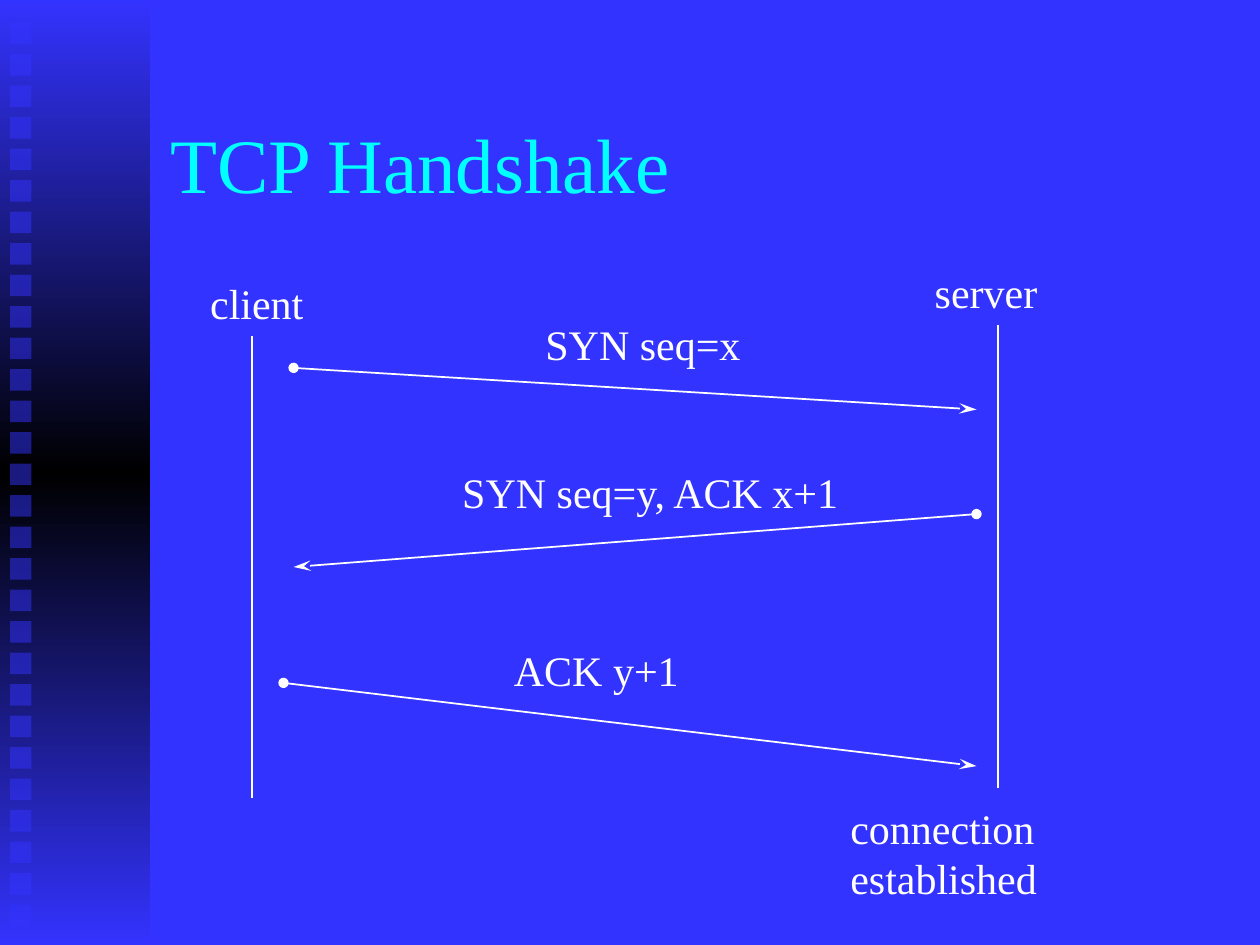
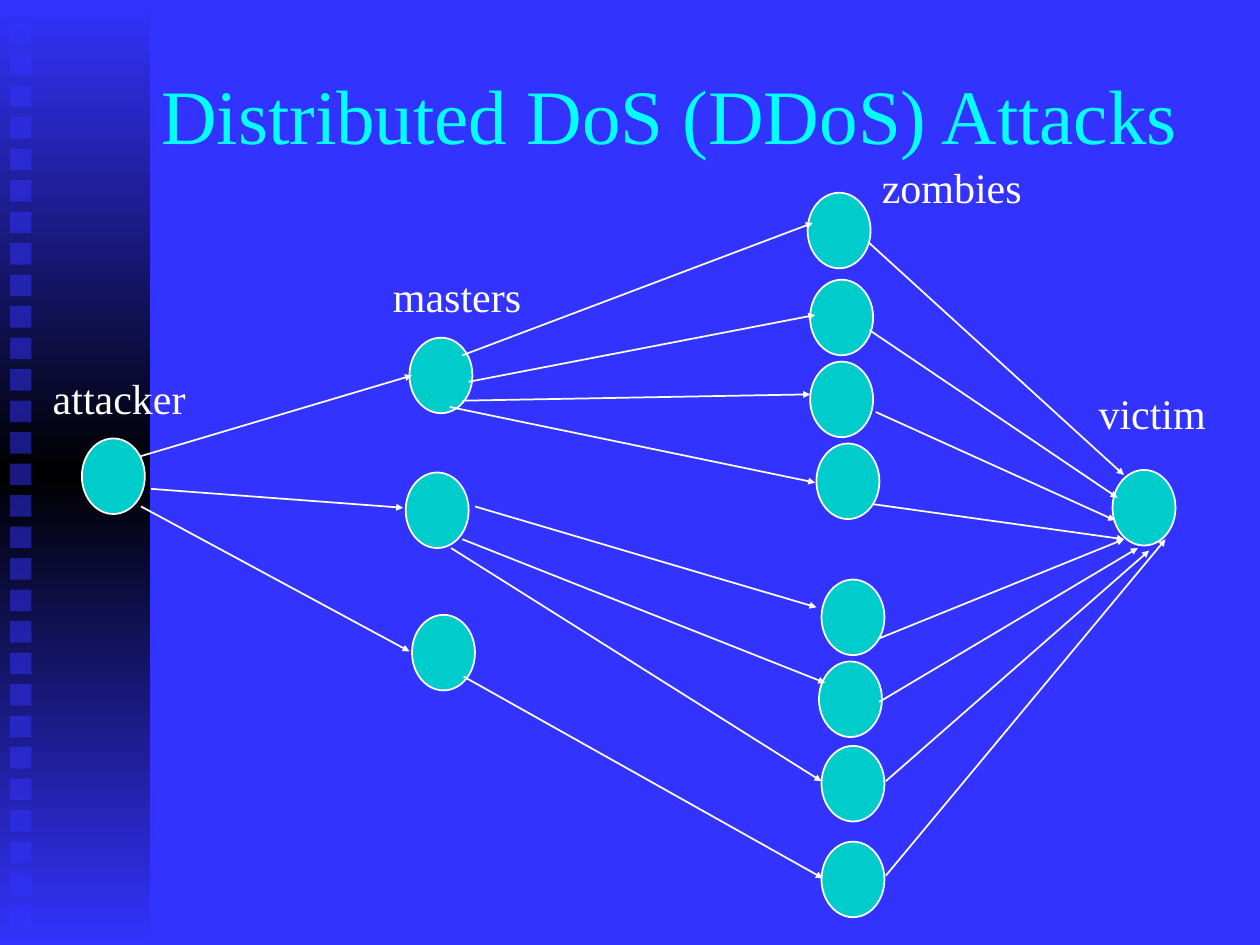
from copy import deepcopy

from lxml.etree import SubElement
from pptx import Presentation
from pptx.dml.color import RGBColor
from pptx.enum.shapes import MSO_CONNECTOR, MSO_SHAPE
from pptx.enum.text import MSO_ANCHOR, MSO_AUTO_SIZE, PP_ALIGN
from pptx.oxml.ns import qn
from pptx.util import Inches, Pt

BLUE, BLACK, WHITE, CYAN, TEAL = "3333FF", "000000", "FFFFFF", "00FFFF", "00CCCC"
FONT = "Times New Roman"
TITLE_SIZE, LABEL_SIZE = 44, 24

BAND_WIDTH, SLIDE_WIDTH, SLIDE_HEIGHT = 1.19, 10, 7.5
SQUARE_COUNT, SQUARE_SIZE, SQUARE_STEP = 29, 0.17, 0.25
SQUARE_LEFT, FIRST_SQUARE_TOP = 0.08, 0.18
NODE_WIDTH, NODE_HEIGHT = 0.5, 0.6

DOT = {"type": "oval"}
LONG_ARROW = {"type": "stealth", "w": "med", "len": "lg"}
SMALL_ARROW = {"type": "triangle", "w": "sm", "len": "sm"}

# Labels: text, left, top, width, height. Lines: start point, end point.
HANDSHAKE = {
    "title": ("TCP Handshake", 1.25, 0.67),
    "labels": [
        ("client", 1.57, 2.15, 0.94, 0.5),
        ("server", 7.32, 2.07, 1.02, 0.5),
        ("SYN seq=x", 4.23, 2.48, 1.75, 0.5),
        ("SYN seq=y, ACK x+1", 3.57, 3.65, 3.23, 0.5),
        ("ACK y+1", 3.98, 5.07, 1.51, 0.5),
        ("connection\nestablished", 6.65, 6.32, 1.68, 0.9),
    ],
    "messages": [
        ((2.33, 2.92), (7.75, 3.25)),
        ((7.75, 4.08), (2.33, 4.5)),
        ((2.25, 5.42), (7.75, 6.08)),
    ],
    "timelines": [
        ((2, 2.67), (2, 6.33)),
        ((7.92, 2.58), (7.92, 6.25)),
    ],
}

DDOS = {
    "title": ("Distributed DoS (DDoS) Attacks", 1.18, 0.28),
    "labels": [
        ("attacker", 0.32, 2.91, 1.28, 0.5),
        ("masters", 3.02, 2.1, 1.22, 0.5),
        ("zombies", 6.9, 1.23, 1.31, 0.5),
        ("victim", 8.62, 3.03, 1.05, 0.5),
    ],
    "nodes": {
        "attacker": [(0.65, 3.48)],
        "masters": [(3.25, 2.68), (3.22, 3.75), (3.27, 4.88)],
        "zombies": [(6.41, 1.53), (6.43, 2.22), (6.43, 2.87), (6.48, 3.52),
                    (6.52, 4.6), (6.5, 5.25), (6.52, 5.92), (6.52, 6.68)],
        "victim": [(8.83, 3.73)],
    },
    "commands": {
        "attacker to masters": [
            ((1.12, 3.62), (3.27, 2.98)),
            ((1.2, 3.88), (3.2, 4.03)),
            ((1.12, 4.02), (3.25, 5.17)),
        ],
        "masters to zombies": [
            ((3.67, 2.82), (6.45, 1.77)),
            ((3.72, 3.03), (6.47, 2.5)),
            ((3.67, 3.18), (6.43, 3.13)),
            ((3.57, 3.23), (6.47, 3.83)),
            ((3.77, 4.02), (6.48, 4.82)),
            ((3.67, 4.28), (6.55, 5.42)),
            ((3.58, 4.35), (6.52, 6.2)),
            ((3.68, 5.37), (6.53, 6.97)),
        ],
        "zombies to victim": [
            ((6.9, 1.93), (8.92, 3.77)),
            ((6.9, 2.62), (8.87, 3.95)),
            ((6.95, 3.27), (8.85, 4.13)),
            ((6.92, 4), (8.92, 4.28)),
            ((6.97, 5.07), (8.92, 4.28)),
            ((6.98, 5.57), (9.03, 4.35)),
            ((7.03, 6.2), (9.12, 4.37)),
            ((7.03, 6.95), (9.25, 4.28)),
        ],
    },
}


def color(hex_string):
    return RGBColor.from_string(hex_string)


def format_text(text_frame, size, hex_string, **frame_values):
    margins = {"margin_left": Inches(0.1), "margin_right": Inches(0.1),
               "margin_top": Inches(0.05), "margin_bottom": Inches(0.05)}
    for name, value in {**margins, **frame_values}.items():
        setattr(text_frame, name, value)
    for paragraph in text_frame.paragraphs:
        paragraph.alignment = PP_ALIGN.LEFT
        for name, value in {"name": FONT, "size": Pt(size)}.items():
            setattr(paragraph.font, name, value)
        paragraph.font.color.rgb = color(hex_string)


def add_filled_shape(slide, kind, left, top, width, height, fill):
    shape = slide.shapes.add_shape(kind, *map(Inches, (left, top, width, height)))
    shape.shadow.inherit = False
    shape.fill.solid()
    shape.fill.fore_color.rgb = color(fill)
    shape.line.fill.background()
    return shape


def add_side_band(slide):
    """Draw the black-centred gradient band and its column of squares."""
    band = add_filled_shape(slide, MSO_SHAPE.RECTANGLE, 0, 0, BAND_WIDTH, SLIDE_HEIGHT, BLUE)
    band.fill.gradient()
    band.fill.gradient_angle = 90
    stop_list = band.element.find(".//" + qn("a:gsLst"))
    stop_list.append(deepcopy(stop_list[0]))
    for stop, position, shade in zip(band.fill.gradient_stops, (0, 0.5, 1), (BLUE, BLACK, BLUE)):
        stop.position = position
        stop.color.rgb = color(shade)

    squares = []
    for row in range(SQUARE_COUNT):
        square = add_filled_shape(slide, MSO_SHAPE.RECTANGLE, SQUARE_LEFT,
                                  FIRST_SQUARE_TOP + row * SQUARE_STEP,
                                  SQUARE_SIZE, SQUARE_SIZE, BLUE)
        fill_color = square.element.spPr.find(qn("a:solidFill"))[0]
        SubElement(fill_color, qn("a:alpha"), val="50000")
        squares.append(square)
    return [band, *squares]


def style_layout(layout, slide):
    """Give the layout its background, and move the band drawn on the slide to it."""
    layout.background.fill.solid()
    layout.background.fill.fore_color.rgb = color(BLUE)
    for position, shape in enumerate(add_side_band(slide), start=2):
        layout.shapes.element.insert(position, shape.element)


def fill_title(slide, text, left, top):
    title = slide.shapes.title
    place = {"left": left, "top": top, "width": 8.5, "height": 1.25}
    for name, value in place.items():
        setattr(title, name, Inches(value))
    title.text_frame.text = text
    format_text(title.text_frame, TITLE_SIZE, CYAN, word_wrap=True,
                auto_size=MSO_AUTO_SIZE.NONE, vertical_anchor=MSO_ANCHOR.MIDDLE)


def add_label(slide, text, *place):
    text_frame = slide.shapes.add_textbox(*map(Inches, place)).text_frame
    text_frame.text = text
    format_text(text_frame, LABEL_SIZE, WHITE, word_wrap=False,
                auto_size=MSO_AUTO_SIZE.SHAPE_TO_FIT_TEXT)


def add_line(slide, start, end, **arrowheads):
    """Draw a white line; arrowheads are headEnd (start) and tailEnd (end), in that order."""
    connector = slide.shapes.add_connector(MSO_CONNECTOR.STRAIGHT, *map(Inches, start + end))
    connector.line.width = Pt(1)
    connector.line.color.rgb = color(WHITE)
    properties = connector.element.spPr
    for tag, arrowhead in arrowheads.items():
        SubElement(properties.find(qn("a:ln")), qn("a:" + tag), arrowhead)
    SubElement(properties, qn("a:effectLst"))


def add_node(slide, left, top):
    node = add_filled_shape(slide, MSO_SHAPE.OVAL, left, top, NODE_WIDTH, NODE_HEIGHT, TEAL)
    node.line.color.rgb = color(WHITE)
    node.line.width = Pt(1)


def build_handshake(slide):
    for start, end in HANDSHAKE["messages"]:
        add_line(slide, start, end, headEnd=DOT, tailEnd=LONG_ARROW)
    for start, end in HANDSHAKE["timelines"]:
        add_line(slide, start, end)


def build_ddos(slide):
    for places in DDOS["nodes"].values():
        for left, top in places:
            add_node(slide, left, top)
    for arrows in DDOS["commands"].values():
        for start, end in arrows:
            add_line(slide, start, end, tailEnd=SMALL_ARROW)


def main():
    presentation = Presentation()
    presentation.slide_width = Inches(SLIDE_WIDTH)
    presentation.slide_height = Inches(SLIDE_HEIGHT)
    layout = presentation.slide_layouts.get_by_name("Title Only")
    slides = [presentation.slides.add_slide(layout) for _ in range(2)]
    style_layout(layout, slides[0])
    for slide, content, build in zip(slides, (HANDSHAKE, DDOS), (build_handshake, build_ddos)):
        fill_title(slide, *content["title"])
        build(slide)
        for label in content["labels"]:
            add_label(slide, *label)
    presentation.save("out.pptx")


if __name__ == "__main__":
    main()
